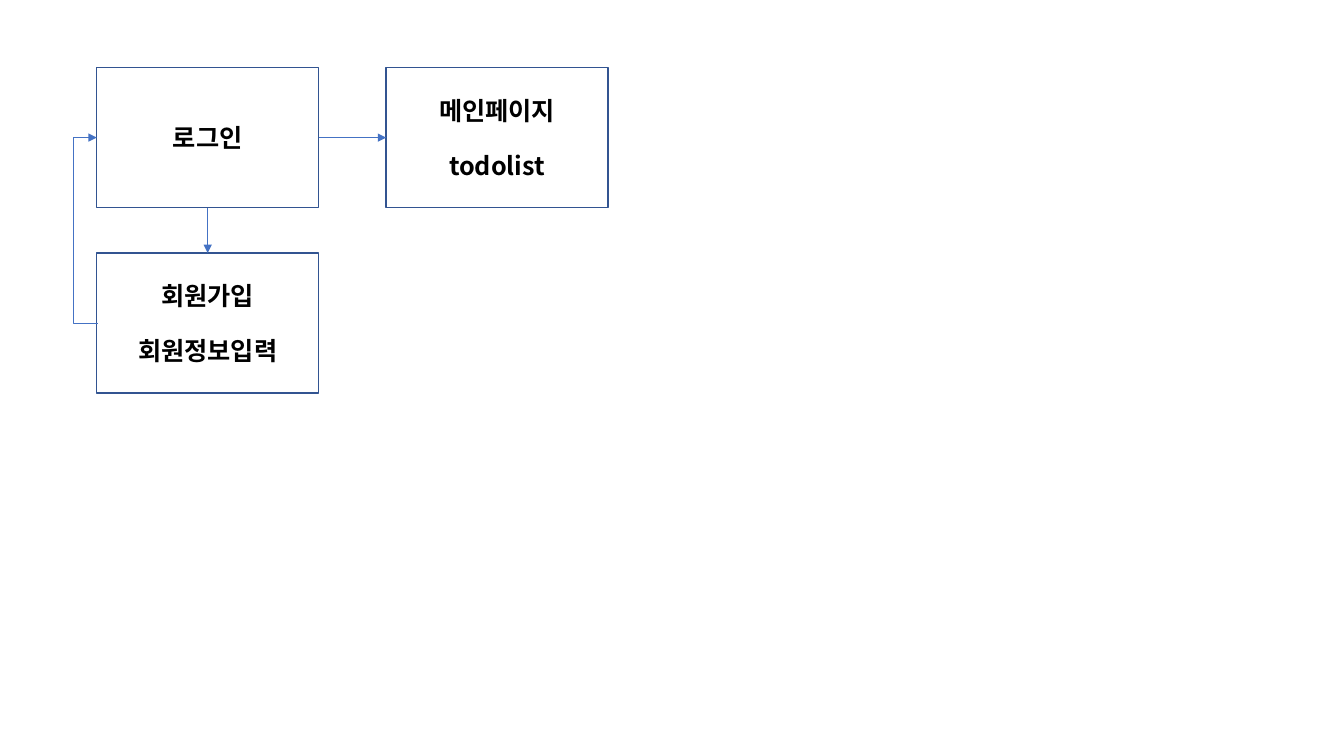
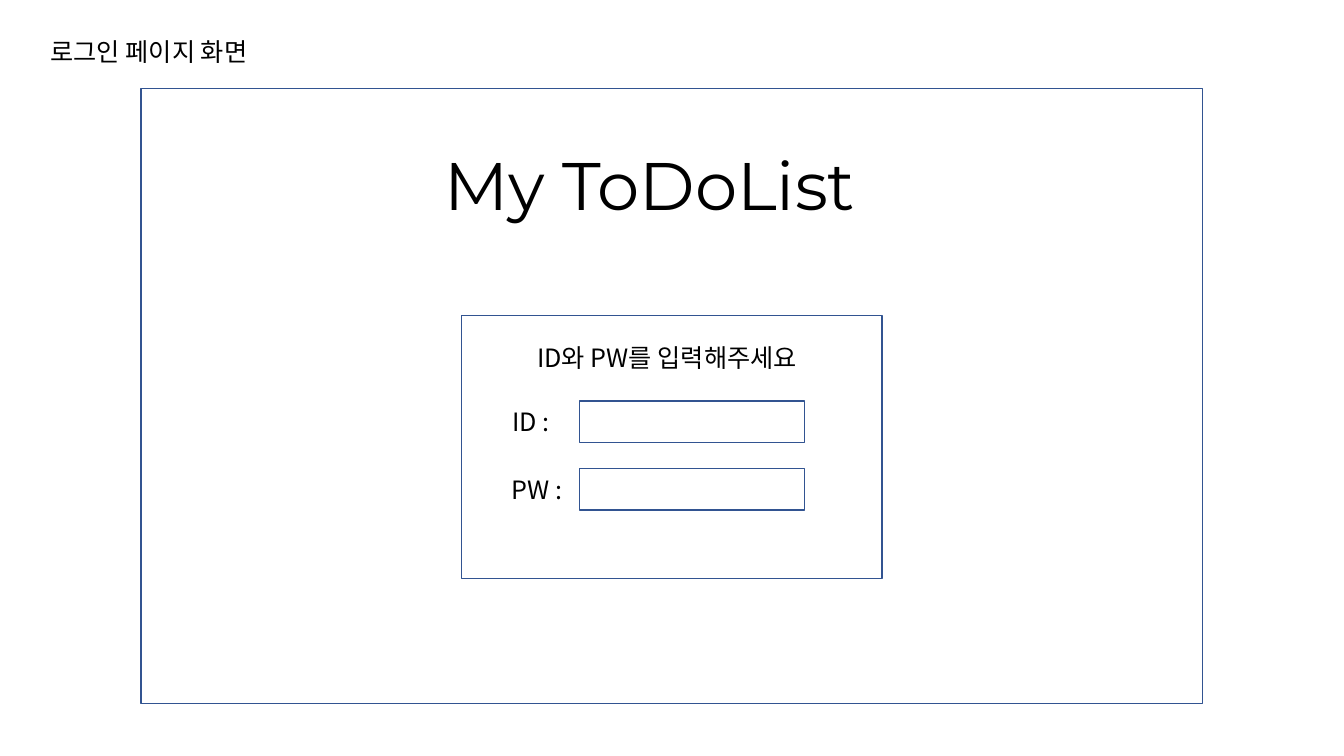
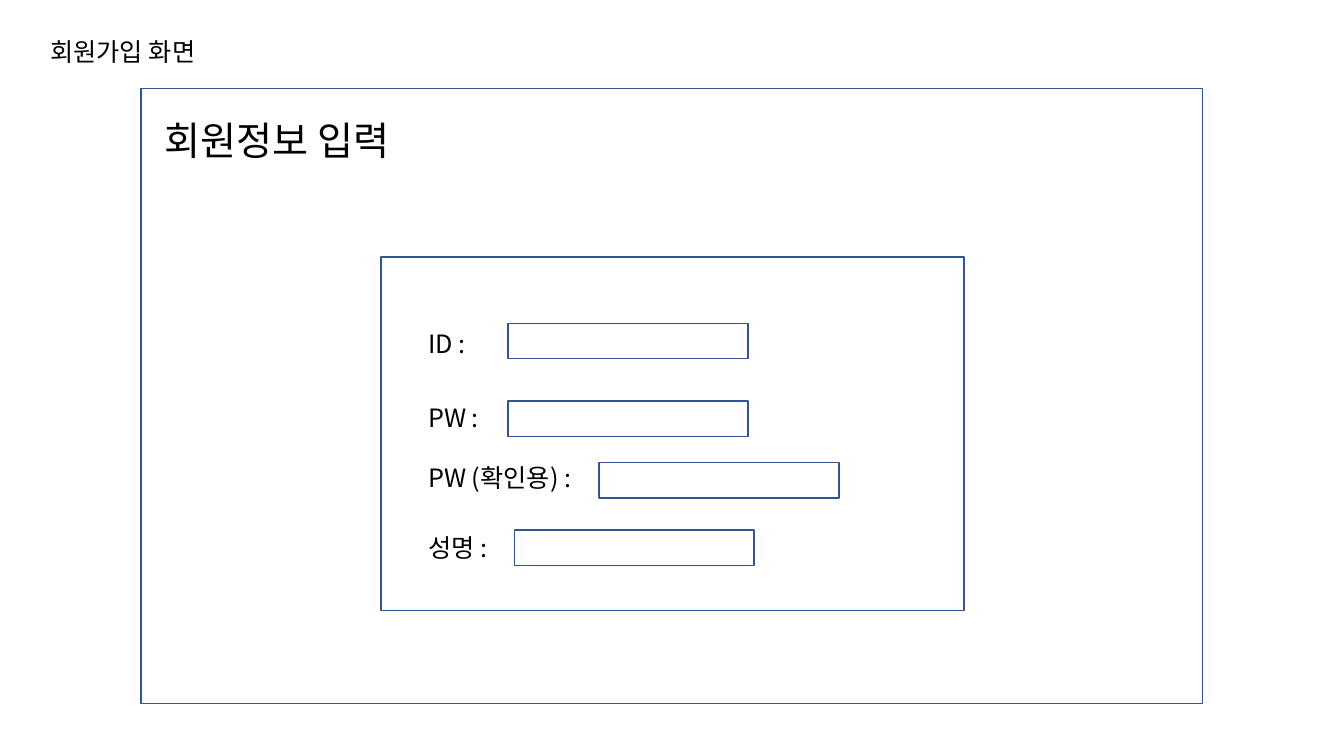
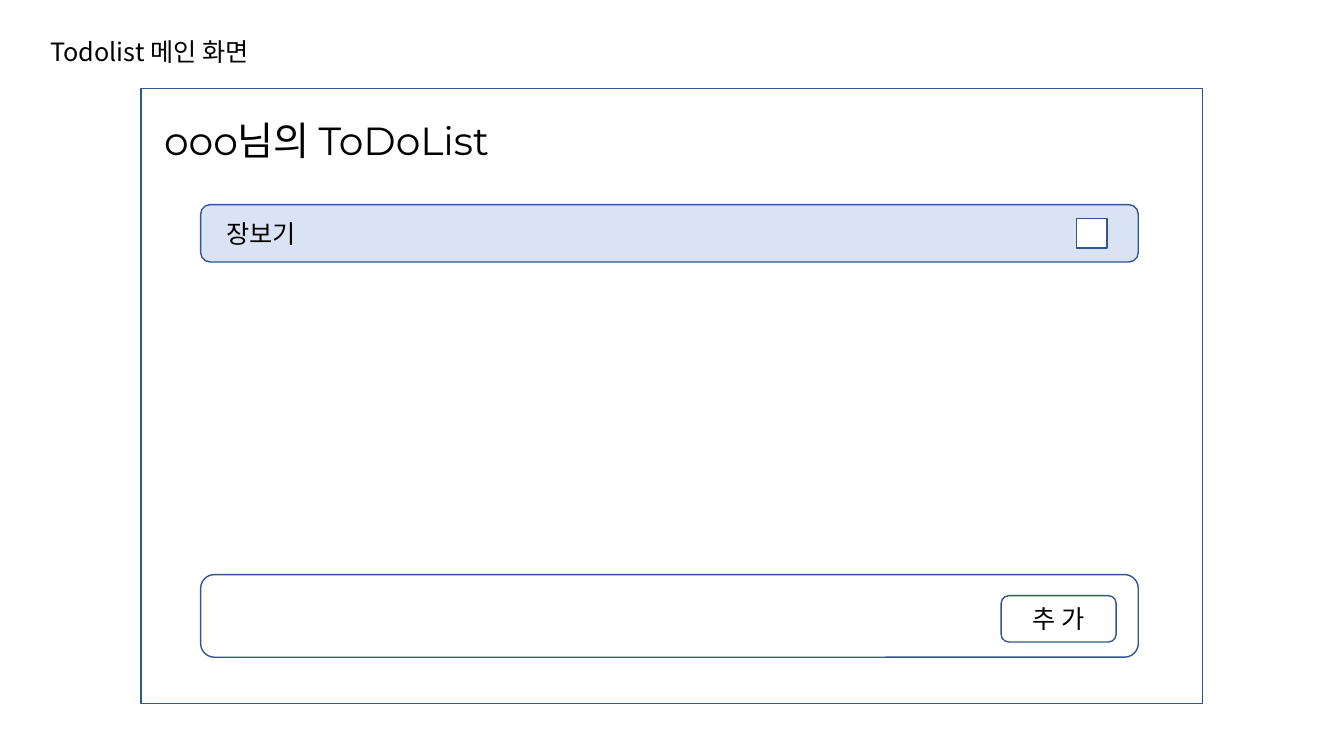
from dataclasses import dataclass

from lxml import etree
from pptx import Presentation
from pptx.dml.color import RGBColor
from pptx.enum.shapes import MSO_CONNECTOR, MSO_SHAPE
from pptx.enum.text import MSO_ANCHOR, MSO_AUTO_SIZE, PP_ALIGN
from pptx.oxml.ns import qn
from pptx.util import Inches, Pt

RECT, ROUND = MSO_SHAPE.RECTANGLE, MSO_SHAPE.ROUNDED_RECTANGLE
STRAIGHT, ELBOW = MSO_CONNECTOR.STRAIGHT, MSO_CONNECTOR.ELBOW
LEFT, CENTER = PP_ALIGN.LEFT, PP_ALIGN.CENTER
TOP, MIDDLE = MSO_ANCHOR.TOP, MSO_ANCHOR.MIDDLE
SITE_TOP, SITE_LEFT, SITE_BOTTOM, SITE_RIGHT = range(4)
TITLE_ONLY, BLANK = 5, 6


@dataclass(frozen=True)
class Theme:
    ink: RGBColor = RGBColor(0, 0, 0)
    outline: RGBColor = RGBColor(0x32, 0x54, 0x91)
    arrow: RGBColor = RGBColor(0x44, 0x72, 0xC4)
    item: RGBColor = RGBColor(0xDA, 0xE3, 0xF3)
    paper: RGBColor = RGBColor(0xFF, 0xFF, 0xFF)
    body_font: str = "Noto Sans CJK KR"
    display_font: str = "Montserrat"
    body: int = 18
    heading: int = 28
    logo: int = 48
    line: float = 1
    thin: float = 0.5
    paragraph_gap: float = 17.5


T = Theme()
SLIDE_W, SLIDE_H = 13.33, 7.5
FRAME = (1.4, 0.88, 10.53, 6.1)
TITLE = (0.4, 0.31, 2.4, 0.4)
HEADING_X, HEADING_Y = 1.53, 1.1
LABEL_H = 0.4


def inches(*lengths):
    return [Inches(v) for v in lengths]


def apply(target, values):
    for name, value in values.items():
        setattr(target, name, value)


def write(tf, lines, size=T.body, font=T.body_font, bold=False, align=LEFT):
    """Fill a text frame, one paragraph a line, in one Latin and one Korean font."""
    for i, line in enumerate(lines):
        p = tf.paragraphs[0] if i == 0 else tf.add_paragraph()
        p.alignment = align
        p.space_before = Pt(T.paragraph_gap if i else 0)
        r = p.add_run()
        r.text = line
        apply(r.font, {"size": Pt(size), "name": font, "bold": bold})
        r.font.color.rgb = T.ink
        ea = etree.SubElement(r.font._element, qn("a:ea"))
        ea.set("typeface", T.body_font)


def add_box(shapes, at, lines=(), kind=RECT, fill=None, align=CENTER, bold=False):
    sp = shapes.add_shape(kind, *inches(*at))
    sp.shadow.inherit = False
    if fill is None:
        sp.fill.background()
    else:
        sp.fill.solid()
        sp.fill.fore_color.rgb = fill
    sp.line.color.rgb = T.outline
    sp.line.width = Pt(T.line)
    sp.text_frame.vertical_anchor = MIDDLE
    write(sp.text_frame, lines, bold=bold, align=align)
    return sp


def add_label(shapes, at, text, **style):
    tf = shapes.add_textbox(*inches(*at)).text_frame
    apply(tf, {"word_wrap": False, "auto_size": MSO_AUTO_SIZE.SHAPE_TO_FIT_TEXT})
    write(tf, [text], **style)


def add_arrow(shapes, kind, start=(0, 0), end=(0, 0)):
    cx = shapes.add_connector(kind, *inches(*start, *end))
    cx.line.color.rgb = T.arrow
    cx.line.width = Pt(T.thin)
    etree.SubElement(cx.line._get_or_add_ln(), qn("a:tailEnd")).set("type", "triangle")
    etree.SubElement(cx._element.spPr, qn("a:effectLst"))
    return cx


def link(shapes, source, source_site, target, target_site):
    cx = add_arrow(shapes, STRAIGHT)
    cx.begin_connect(source, source_site)
    cx.end_connect(target, target_site)


def add_return_arrow(shapes, x, y_from, y_to, reach):
    """Elbow that leaves to the left of x by reach and comes back at y_to."""
    width = 0.01
    cx = add_arrow(shapes, ELBOW, (x + width, y_from), (x, y_to))
    guides = cx._element.spPr.find(qn("a:prstGeom")).get_or_add_avLst()
    gd = etree.SubElement(guides, qn("a:gd"))
    gd.set("name", "adj1")
    gd.set("fmla", f"val {round((reach + width) / width * 100000)}")


def add_screen(prs, title):
    """Slide with the screen's name and its window frame."""
    s = prs.slides.add_slide(prs.slide_layouts[TITLE_ONLY])
    sp = s.shapes.title
    apply(sp, dict(zip(("left", "top", "width", "height"), inches(*TITLE))))
    apply(sp.text_frame, {"word_wrap": True, "vertical_anchor": TOP,
                          "auto_size": MSO_AUTO_SIZE.NONE})
    write(sp.text_frame, [title])
    add_box(s.shapes, FRAME)
    return s.shapes


def add_form(shapes, panel, label_x, field_size, rows):
    """Grouped panel; a row is label, label width, label top, field left, field top."""
    form = shapes.add_group_shape().shapes
    add_box(form, panel)
    for text, width, label_y, field_x, field_y in rows:
        add_box(form, (field_x, field_y, *field_size))
        add_label(form, (label_x, label_y, width, LABEL_H), text)
    return form


def build_flow(prs):
    shapes = prs.slides.add_slide(prs.slide_layouts[BLANK]).shapes
    left, top, w, h = 0.96, 0.67, 2.2, 1.39
    col_step, row_step = 2.87, 1.84

    def step(col, row, *lines):
        at = (left + col * col_step, top + row * row_step, w, h)
        return add_box(shapes, at, lines, bold=True)

    login = step(0, 0, "로그인")
    main_page = step(1, 0, "메인페이지", "todolist")
    sign_up = step(0, 1, "회원가입", "회원정보입력")
    link(shapes, login, SITE_BOTTOM, sign_up, SITE_TOP)
    link(shapes, login, SITE_RIGHT, main_page, SITE_LEFT)
    middle = top + h / 2
    add_return_arrow(shapes, left, middle + row_step, middle, reach=0.24)


def build_login(prs):
    shapes = add_screen(prs, "로그인 페이지 화면")
    form = add_form(shapes, (4.58, 3.13, 4.17, 2.61), 4.98, (2.23, 0.41), [
        ("ID :", 0.69, 3.98, 5.75, 3.98),
        ("PW :", 0.83, 4.66, 5.75, 4.65),
    ])
    add_label(form, (5.23, 3.35, 3.04, LABEL_H), "ID와 PW를 입력해주세요")
    add_label(shapes, (4.31, 1.37, 4.72, 0.91), "My ToDoList",
              size=T.logo, font=T.display_font)


def add_heading(shapes, text, width):
    add_label(shapes, (HEADING_X, HEADING_Y, width, 0.57), text,
              size=T.heading, font=T.display_font)


def build_sign_up(prs):
    shapes = add_screen(prs, "회원가입 화면")
    add_heading(shapes, "회원정보 입력", 2.69)
    add_form(shapes, (3.78, 2.55, 5.78, 3.51), 4.15, (2.38, 0.35), [
        ("ID :", 0.69, 3.21, 5.04, 3.21),
        ("PW :", 0.83, 3.94, 5.04, 3.98),
        ("PW (확인용) :", 1.83, 4.54, 5.94, 4.59),
        ("성명 :", 0.94, 5.23, 5.1, 5.26),
    ])


def build_main_page(prs):
    shapes = add_screen(prs, "Todolist 메인 화면")
    add_heading(shapes, "ooo님의 ToDoList", 3.79)
    x, w = 1.99, 9.3
    add_box(shapes, (x, 5.7, w, 0.82), kind=ROUND)
    add_box(shapes, (9.93, 5.91, 1.14, 0.46), ["추 가"], kind=ROUND)
    item = add_box(shapes, (x, 2.03, w, 0.57), ["장보기"], kind=ROUND,
                   fill=T.item, align=LEFT)
    item.text_frame.margin_left = Inches(0.23)
    add_box(shapes, (10.68, 2.17, 0.3, 0.29), fill=T.paper)


def main():
    prs = Presentation()
    prs.slide_width, prs.slide_height = inches(SLIDE_W, SLIDE_H)
    for build in (build_flow, build_login, build_sign_up, build_main_page):
        build(prs)
    prs.save("out.pptx")


if __name__ == "__main__":
    main()
